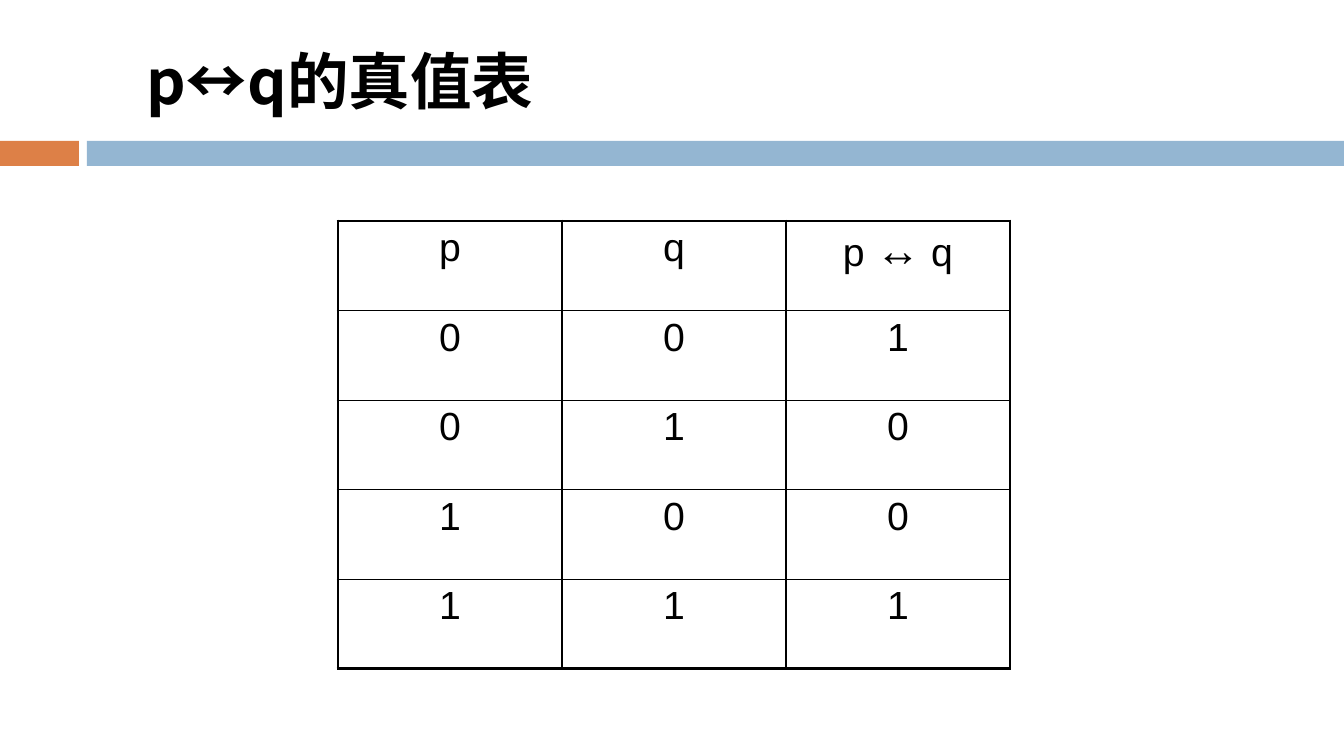
import pptx
import pptx.dml.color
import pptx.enum.shapes
import pptx.enum.text
import pptx.oxml
import pptx.oxml.ns
import pptx.util
from lxml import etree

PX = 9144000 / 1008  # EMU in one px, at 100.8 px to the inch


def px(length):
    return pptx.util.Emu(round(length * PX))


def color(hex_string):
    return pptx.dml.color.RGBColor.from_string(hex_string)


class TruthTableSlide:
    """Holds the style and the page on which the elements are placed."""

    INK = "000000"
    TITLE_FONT = "Noto Sans CJK SC"
    TABLE_FONT = "Arial"
    TITLE_SIZE, CELL_SIZE, ARROW_SIZE = 44, 28, 32
    OUTER_LINE, INNER_LINE = 2.25, 1

    def __init__(self, deck):
        self.page = deck.slides.add_slide(deck.slide_layouts.get_by_name("Title Only"))

    def bar(self, left, top, width, height, fill):
        bar = self.page.shapes.add_shape(
            pptx.enum.shapes.MSO_SHAPE.RECTANGLE, px(left), px(top), px(width), px(height))
        bar.shadow.inherit = False
        bar.fill.solid()
        bar.fill.fore_color.rgb = color(fill)
        bar.line.fill.background()

    def title(self, left, top, width, height, text):
        title = self.page.shapes.title
        title.left, title.top, title.width, title.height = map(px, (left, top, width, height))
        frame = title.text_frame
        frame.text = text
        frame.word_wrap = True
        frame.auto_size = pptx.enum.text.MSO_AUTO_SIZE.NONE
        frame.vertical_anchor = pptx.enum.text.MSO_ANCHOR.MIDDLE
        para = frame.paragraphs[0]
        para.alignment = pptx.enum.text.PP_ALIGN.LEFT
        for span in para.runs:
            self.format_span(span, self.TITLE_FONT, self.TITLE_SIZE)
            span.font.bold = True
            east_asian = etree.SubElement(span.font._element, pptx.oxml.ns.qn("a:ea"))
            east_asian.set("typeface", self.TITLE_FONT)

    def format_span(self, span, font, size):
        span.font.name = font
        span.font.size = pptx.util.Pt(size)
        span.font.color.rgb = color(self.INK)

    def table(self, left, top, width, height, rows):
        """Each cell is a list of text spans."""
        row_count, column_count = len(rows), len(rows[0])
        table = self.page.shapes.add_table(
            row_count, column_count, px(left), px(top), px(width), px(height)).table
        table.first_row = False
        table.horz_banding = False
        for i, row in enumerate(rows):
            for j, spans in enumerate(row):
                cell = table.cell(i, j)
                on_edge = {"L": j == 0, "R": j == column_count - 1,
                           "T": i == 0, "B": i == row_count - 1}
                for side, is_outer in on_edge.items():
                    self.border(cell, side, self.OUTER_LINE if is_outer else self.INNER_LINE)
                cell.fill.background()
                self.fill_cell(cell, spans)

    def fill_cell(self, cell, spans):
        para = cell.text_frame.paragraphs[0]
        para.alignment = pptx.enum.text.PP_ALIGN.CENTER
        for text in spans:
            span = para.add_run()
            span.text = text
            size = self.ARROW_SIZE if text == "↔" else self.CELL_SIZE
            self.format_span(span, self.TABLE_FONT, size)

    def border(self, cell, side, points):
        line = pptx.oxml.parse_xml(
            f'<a:ln{side} {pptx.oxml.ns.nsdecls("a")} w="{pptx.util.Pt(points)}">'
            f'<a:solidFill><a:srgbClr val="{self.INK}"/></a:solidFill></a:ln{side}>')
        cell._tc.get_or_add_tcPr().append(line)


def main():
    deck = pptx.Presentation()
    deck.slide_width, deck.slide_height = px(1344), px(756)

    slide = TruthTableSlide(deck)
    slide.bar(0, 141, 79, 25, "DD8047")
    slide.bar(87, 141, 1257, 25, "94B6D2")
    slide.title(136, 25, 1075, 109, "p↔q的真值表")

    header = [["p"], ["q"], ["p ", "↔", " q"]]
    values = [[[str(p)], [str(q)], [str(int(p == q))]] for p in (0, 1) for q in (0, 1)]
    slide.table(338, 221, 672, 448, [header] + values)

    deck.save("out.pptx")


if __name__ == "__main__":
    main()
